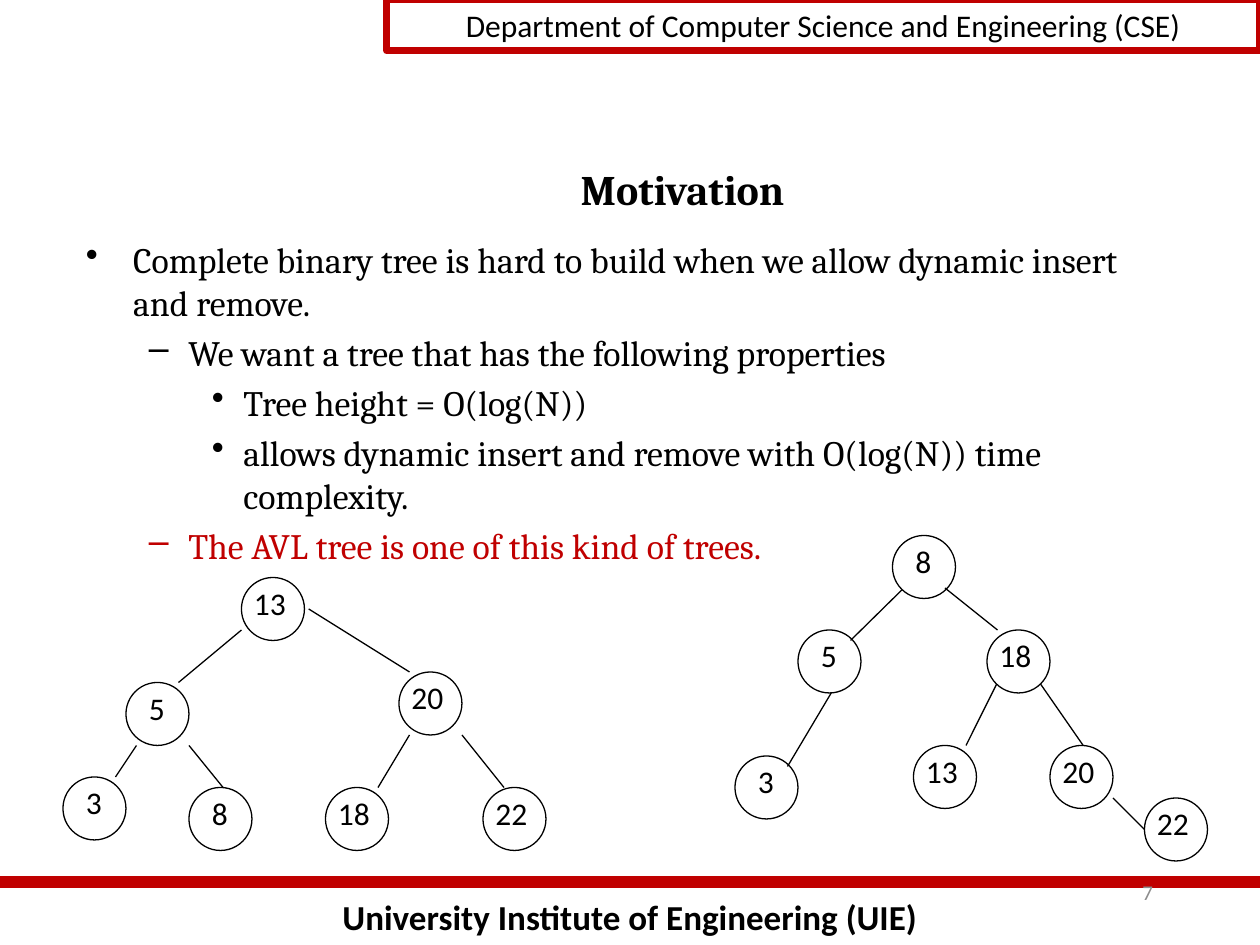
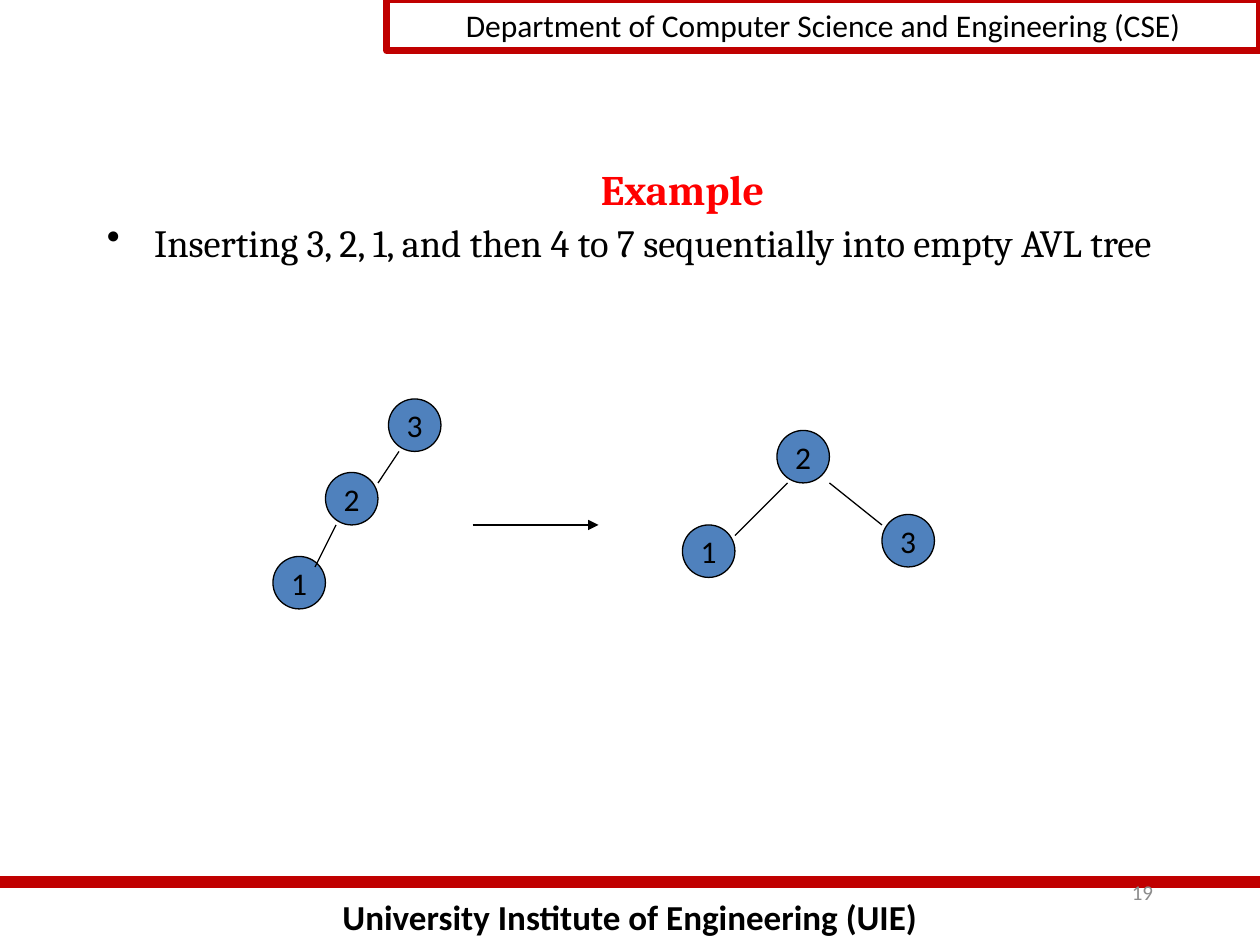
from lxml import etree
from pptx import Presentation
from pptx.dml.color import RGBColor
from pptx.enum import shapes, text
from pptx.oxml import ns
from pptx.util import Pt

BLACK = RGBColor(0x00, 0x00, 0x00)
CRIMSON = RGBColor(0xC0, 0x00, 0x00)
RED = RGBColor(0xFF, 0x00, 0x00)
GRAY = RGBColor(0x8C, 0x8C, 0x8C)
BLUE = RGBColor(0x4F, 0x81, 0xBD)

WIDTH, HEIGHT = 720, 540
LEFT, CENTER, RIGHT = text.PP_ALIGN.LEFT, text.PP_ALIGN.CENTER, text.PP_ALIGN.RIGHT
TOP, MIDDLE = text.MSO_ANCHOR.TOP, text.MSO_ANCHOR.MIDDLE

HEADER_FORMAT = {"name": "Calibri", "size": Pt(18)}
FOOTER_FORMAT = {"name": "Calibri", "size": Pt(20), "bold": True}
NUMBER_FORMAT = {"name": "Calibri", "size": Pt(12)}
TITLE_FORMAT = {"name": "Cambria", "size": Pt(24), "bold": True}
NODE_FORMAT = {"name": "Calibri", "size": Pt(18)}

BULLET_LEVELS = [(27, -27, "•"), (58.5, -22.5, "–"), (90, -18, "•")]

MOTIVATION_POINTS = [
    (0, "Complete binary tree is hard to build when we allow dynamic insert and remove.", BLACK),
    (1, "We want a tree that has the following properties", BLACK),
    (2, "Tree height = O(log(N))", BLACK),
    (2, "allows dynamic insert and remove with O(log(N)) time complexity.", BLACK),
    (1, "The AVL tree is one of this kind of trees.", CRIMSON),
]
EXAMPLE_POINTS = [
    (0, "Inserting 3, 2, 1, and then 4 to 7 sequentially into empty AVL tree", BLACK),
]

BALANCED_TREE = {
    "nodes": [("13", 102, 0), ("5", 36, 60), ("3", 0, 114), ("8", 72, 120),
              ("20", 192, 54), ("18", 150, 120), ("22", 240, 120)],
    "edges": [(102, 30, 66, 60), (140.4, 18, 198, 54), (42, 96, 30, 114),
              (72, 96, 91.5, 120), (198, 90, 180, 120), (228, 90, 252, 120)],
}
LOPSIDED_TREE = {
    "nodes": [("8", 90, 0), ("5", 36, 54), ("3", 0, 126), ("18", 144, 54),
              ("13", 102, 120), ("20", 180, 120), ("22", 234, 150)],
    "edges": [(95.5, 31, 66, 60), (55, 90, 30, 132), (120, 30, 150, 54),
              (149.5, 85, 132, 120), (174.7, 85, 199, 120), (216, 150, 234, 168)],
}
CHAIN = {
    "nodes": [("3", 66, 0), ("2", 30, 42), ("1", 0, 90)],
    "edges": [(72, 30, 60, 48), (36, 72, 24, 96)],
}
ROTATED_TREE = {
    "nodes": [("2", 54, 0), ("1", 0, 54), ("3", 114, 48)],
    "edges": [(60, 30, 30, 60), (84, 30, 114, 54)],
}


def apply_format(target, values):
    for name, value in values.items():
        setattr(target, name, value)


def points(*lengths):
    return [Pt(length) for length in lengths]


def write(paragraph, content, font_format, color=BLACK):
    run = paragraph.add_run()
    run.text = content
    apply_format(run.font, font_format)
    run.font.color.rgb = color


def fill_text(shape, content, font_format, color=BLACK, align=CENTER, anchor=TOP, wrap=True):
    apply_format(shape.text_frame, {"word_wrap": wrap, "vertical_anchor": anchor})
    paragraph = shape.text_frame.paragraphs[0]
    paragraph.alignment = align
    write(paragraph, content, font_format, color)


def add_text(slide, box, *args, **options):
    fill_text(slide.shapes.add_textbox(*points(*box)), *args, **options)


def add_outline(slide, kind, box, color, weight, fill=None):
    shape = slide.shapes.add_shape(kind, *points(*box))
    shape.shadow.inherit = False
    if fill is None:
        shape.fill.background()
    else:
        shape.fill.solid()
        shape.fill.fore_color.rgb = fill
    shape.line.color.rgb = color
    shape.line.width = Pt(weight)
    return shape


def add_line(slide, ends, color=BLACK, weight=0.75, arrow=False):
    line = slide.shapes.add_connector(shapes.MSO_CONNECTOR.STRAIGHT, *points(*ends))
    line.line.color.rgb = color
    line.line.width = Pt(weight)
    if arrow:
        etree.SubElement(line.line._get_or_add_ln(), ns.qn("a:tailEnd"), type="triangle")
    etree.SubElement(line._element.spPr, ns.qn("a:effectLst"))


def add_frame(slide, number):
    add_text(slide, (0, 508, WIDTH, 32), "University Institute of Engineering (UIE)", FOOTER_FORMAT)
    add_line(slide, (0, 504, WIDTH, 504), CRIMSON, 7)
    header = add_outline(slide, shapes.MSO_SHAPE.RECTANGLE, (221, 0, 499, 29), CRIMSON, 4)
    fill_text(header, "Department of Computer Science and Engineering (CSE)", HEADER_FORMAT)
    add_text(slide, (516, 492, 150, 36), number, NUMBER_FORMAT, GRAY, RIGHT, MIDDLE)


def add_title(slide, title, color):
    add_text(slide, (78, 84, 624, 48), title, TITLE_FORMAT, color, anchor=MIDDLE)


def add_bullets(slide, box, items, size, top_margin):
    frame = slide.shapes.add_textbox(*points(*box)).text_frame
    apply_format(frame, {"word_wrap": True, "margin_top": Pt(top_margin)})
    for index, (level, content, color) in enumerate(items):
        paragraph = frame.add_paragraph() if index else frame.paragraphs[0]
        if index:
            paragraph.space_before = Pt(size * 0.2)
        paragraph.level = level
        write(paragraph, content, {"name": "Cambria", "size": Pt(size)}, color)
        margin, indent, bullet = BULLET_LEVELS[level]
        properties = paragraph._p.get_or_add_pPr()
        properties.set("marL", str(Pt(margin)))
        properties.set("indent", str(Pt(indent)))
        etree.SubElement(properties, ns.qn("a:buChar"), char=bullet)


def add_tree(slide, origin, tree, diameter, fill=None):
    left, top = origin
    for value, x, y in tree["nodes"]:
        box = (left + x, top + y, diameter, diameter)
        node = add_outline(slide, shapes.MSO_SHAPE.OVAL, box, BLACK, 0.75, fill)
        if fill is None:
            inset, width = (6, 26.6) if len(value) == 1 else (0, 38)
            label_box = (left + x + inset, top + y, width, diameter)
            add_text(slide, label_box, value, NODE_FORMAT, align=LEFT, wrap=False)
        else:
            fill_text(node, value, NODE_FORMAT, anchor=MIDDLE, wrap=False)
    for x1, y1, x2, y2 in tree["edges"]:
        add_line(slide, (left + x1, top + y1, left + x2, top + y2))


def add_slide(presentation, number, title, color):
    slide = presentation.slides.add_slide(presentation.slide_layouts[6])
    add_frame(slide, number)
    add_title(slide, title, color)
    return slide


def build_motivation(presentation):
    slide = add_slide(presentation, "7", "Motivation", BLACK)
    add_bullets(slide, (42, 102, 612, 204), MOTIVATION_POINTS, 20.4, 34)
    add_tree(slide, (36, 330), BALANCED_TREE, 36)
    add_tree(slide, (420, 306), LOPSIDED_TREE, 36)


def build_example(presentation):
    slide = add_slide(presentation, "19", "Example", RED)
    add_bullets(slide, (54, 120, 612, 66), EXAMPLE_POINTS, 22, 5)
    add_tree(slide, (156, 228), CHAIN, 30, BLUE)
    add_line(slide, (270, 300, 342, 300), arrow=True)
    add_tree(slide, (390, 246), ROTATED_TREE, 30, BLUE)


def main():
    presentation = Presentation()
    apply_format(presentation, {"slide_width": Pt(WIDTH), "slide_height": Pt(HEIGHT)})
    build_motivation(presentation)
    build_example(presentation)
    presentation.save("out.pptx")


if __name__ == "__main__":
    main()
